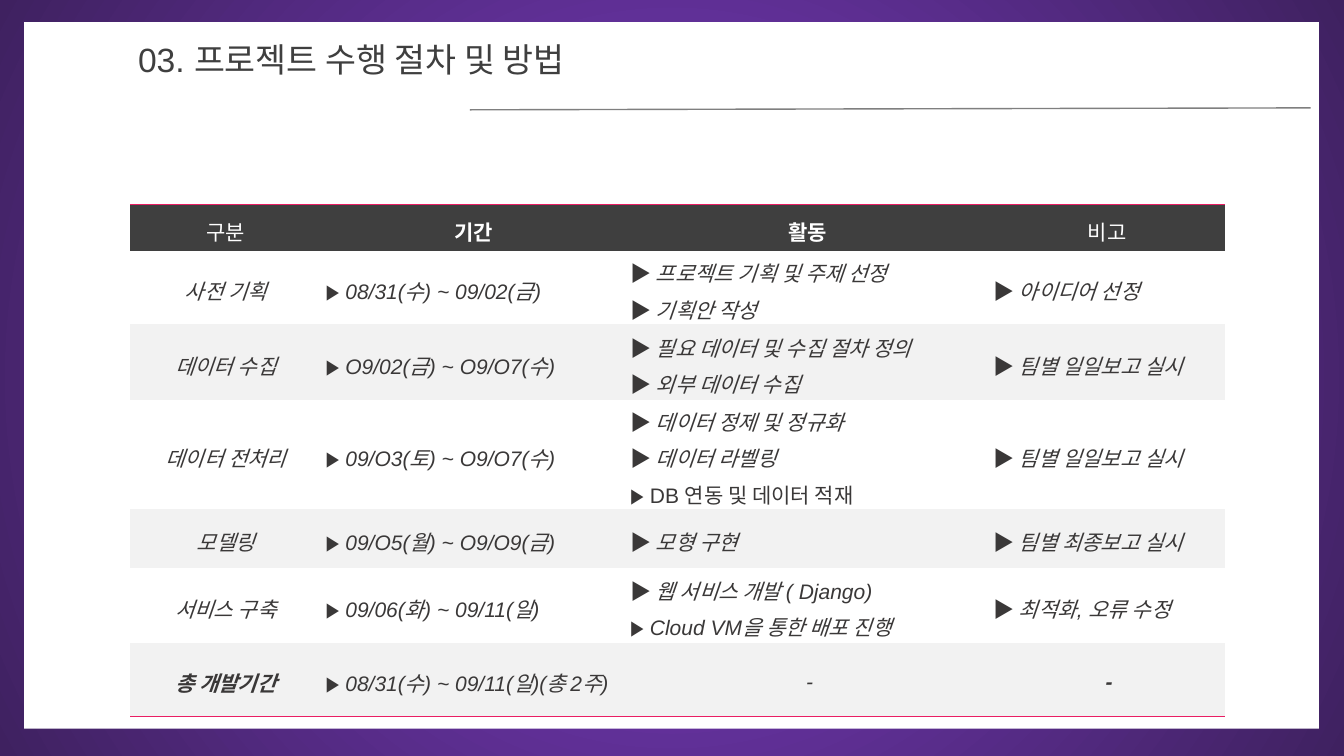
from dataclasses import dataclass

from lxml.etree import SubElement
from pptx import Presentation
from pptx.dml.color import RGBColor
from pptx.enum.shapes import MSO_CONNECTOR as Connector, MSO_SHAPE as Shape
from pptx.enum.text import MSO_ANCHOR as Anchor, PP_ALIGN as Align
from pptx.oxml import parse_xml
from pptx.oxml.ns import nsdecls, qn
from pptx.util import Inches, Pt


@dataclass(frozen=True)
class Theme:
    glow: str = "7E3DC8"
    edge: str = "3F2160"
    paper: str = "FFFFFF"
    band: str = "F2F2F2"
    dark: str = "3F3F3F"
    ink: str = "3A3838"
    accent: str = "E91D63"
    rule: str = "7F7F7F"
    font: str = "Arial"
    label_font: str = "Calibri"
    title_size: float = 24
    cell_size: float = 15
    rule_width: float = 1
    border_width: float = 0.75
    line_spacing: float = 1.2


@dataclass(frozen=True)
class Span:
    text: str
    font: str = Theme.font
    bold: bool = False
    italic: bool = True


@dataclass(frozen=True)
class Stage:
    label: Span
    period: str
    activities: tuple
    remark: tuple
    height: float


THEME = Theme()
WIDTH, HEIGHT = 13.33, 7.5
NO_STYLE = "{2D5ABB26-0587-4C30-8999-92F81FD0307C}"


def across(share: float) -> int:
    """Percent of the slide's width."""
    return Inches(WIDTH * share / 100)


def down(share: float) -> int:
    """Percent of the slide's height."""
    return Inches(HEIGHT * share / 100)


def frame(left: float, top: float, width: float, height: float) -> tuple:
    return across(left), down(top), across(width), down(height)


def color(code: str) -> RGBColor:
    return RGBColor.from_string(code)


def label(text: str) -> Span:
    return Span(text, THEME.label_font)


# Table content: column shares of the width, row shares of the height
COLUMNS = (14.25, 22.66, 27.01, 17.55)
HEADER_HEIGHT = 5.6
HEADINGS = (Span("구분", italic=False), Span("기간", bold=True, italic=False),
            Span("활동", bold=True, italic=False), Span("비고", italic=False))
MARKER = Span("▶ ", bold=True, italic=False)
STAGES = (
    Stage(Span("사전 기획"), "08/31(수) ~ 09/02(금)",
          (Span("프로젝트 기획 및 주제 선정"), Span("기획안 작성")),
          (Span("아이디어 선정"),), 8.67),
    Stage(label("데이터 수집"), "O9/02(금) ~ O9/O7(수)",
          (label("필요 데이터 및 수집 절차 정의"), label("외부 데이터 수집")),
          (Span("팀별 일일보고 실시"),), 10),
    Stage(label("데이터 전처리"), "09/O3(토) ~ O9/O7(수)",
          (label("데이터 정제 및 정규화"), Span("데이터 라벨링"),
           Span("DB 연동 및 데이터 적재", italic=False)),
          (Span("팀별 일일보고 실시"),), 13.47),
    Stage(label("모델링"), "09/O5(월) ~ O9/O9(금)", (Span("모형 구현"),),
          (label("팀별 "), Span("최종"), label("보고 실시")), 7.73),
    Stage(label("서비스 구축"), "09/06(화) ~ 09/11(일)",
          (Span("웹 서비스 개발 ( Django)"), Span("Cloud VM을 통한 배포 진행")),
          (Span("최적화, 오류 수정"),), 10),
    Stage(Span("총 개발기간", bold=True), "08/31(수) ~ 09/11(일)(총 2주)",
          (), (), 7.73),
)


def add_span(para, text: str, *, size: float, ink: str, font: str = THEME.font,
             bold: bool = False, italic: bool = False) -> None:
    run = para.add_run()
    run.text = text
    run.font.size, run.font.name = Pt(size), font
    run.font.bold, run.font.italic = bold, italic
    run.font.color.rgb = color(ink)


def fill_cell(cell, lines: list, *, fill: str, ink: str = THEME.ink,
              centered: bool = False, padded: bool = False) -> None:
    cell.fill.solid()
    cell.fill.fore_color.rgb = color(fill)
    cell.vertical_anchor = Anchor.MIDDLE
    cell.margin_left = Inches(0.09 if padded else 0.04)
    cell.margin_right = Inches(0.09 if padded else 0)
    cell.margin_top = cell.margin_bottom = Inches(0.05 if padded else 0)
    for index, spans in enumerate(lines):
        text = cell.text_frame
        para = text.add_paragraph() if index else text.paragraphs[0]
        para.alignment = Align.CENTER if centered else Align.LEFT
        para.line_spacing = THEME.line_spacing
        for span in spans:
            add_span(para, span.text, size=THEME.cell_size, ink=ink, font=span.font,
                     bold=span.bold, italic=span.italic)


def add_border(cell, side: str) -> None:
    cell.fill  # the fill follows the border in the cell's properties
    cell._tc.get_or_add_tcPr().insert(0, parse_xml(
        f'<a:{side} {nsdecls("a")} w="{Pt(THEME.border_width)}"><a:solidFill>'
        f'<a:srgbClr val="{THEME.accent}"/></a:solidFill></a:{side}>'))


def draw_background(page) -> None:
    fill = page.background.fill
    fill.gradient()
    for stop, code in zip(fill.gradient_stops, (THEME.glow, THEME.edge)):
        stop.color.rgb = color(code)
    gradient = page.element.find(".//" + qn("a:gradFill"))
    linear = gradient.find(qn("a:lin"))
    gradient.replace(linear, parse_xml(
        f'<a:path {nsdecls("a")} path="circle">'
        '<a:fillToRect l="50000" t="50000" r="50000" b="50000"/></a:path>'))

    paper = page.shapes.add_shape(Shape.RECTANGLE, *frame(1.8, 2.93, 96.33, 93.47))
    paper.shadow.inherit = False
    paper.fill.solid()
    paper.fill.fore_color.rgb = color(THEME.paper)
    paper.line.fill.background()


def draw_schedule(page) -> None:
    heights = (HEADER_HEIGHT, *(stage.height for stage in STAGES))
    table = page.shapes.add_table(
        len(heights), len(COLUMNS),
        *frame(9.68, 27.07, sum(COLUMNS), sum(heights))).table
    table.first_row = table.horz_banding = False
    table._tbl.tblPr.find(qn("a:tableStyleId")).text = NO_STYLE
    for column, share in zip(table.columns, COLUMNS):
        column.width = across(share)
    for row, share in zip(table.rows, heights):
        row.height = down(share)

    for cell, heading in zip(table.rows[0].cells, HEADINGS):
        fill_cell(cell, [[heading]], fill=THEME.dark, ink=THEME.paper,
                  centered=True, padded=True)
        add_border(cell, "lnT")

    for index, stage in enumerate(STAGES):
        name, period, activity, remark = table.rows[index + 1].cells
        fill = THEME.band if index % 2 else THEME.paper
        fill_cell(name, [[stage.label]], fill=fill, centered=True, padded=True)
        fill_cell(period, [[MARKER, Span(stage.period)]], fill=fill)
        if stage.activities:
            fill_cell(activity, [[MARKER, span] for span in stage.activities], fill=fill)
            fill_cell(remark, [[MARKER, *stage.remark]], fill=fill)
        else:
            fill_cell(activity, [[Span("-")]], fill=fill, centered=True)
            fill_cell(remark, [[Span("-", bold=True)]], fill=fill, centered=True)

    for cell in table.rows[len(STAGES)].cells:
        add_border(cell, "lnB")


def draw_title(page) -> None:
    box = page.shapes.add_textbox(*frame(9.53, 4.53, 38.71, 6.67))
    box.text_frame.word_wrap = True
    add_span(box.text_frame.paragraphs[0], "03. 프로젝트 수행 절차 및 방법",
             size=THEME.title_size, ink=THEME.dark)

    rule = page.shapes.add_connector(Connector.STRAIGHT, across(34.96), down(14.53),
                                     across(97.52), down(14.27))
    rule.line.color.rgb = color(THEME.rule)
    rule.line.width = Pt(THEME.rule_width)
    SubElement(rule._element.spPr, qn("a:effectLst"))


def main() -> None:
    deck = Presentation()
    deck.slide_width, deck.slide_height = Inches(WIDTH), Inches(HEIGHT)
    page = deck.slides.add_slide(deck.slide_layouts[6])
    draw_background(page)
    draw_schedule(page)
    draw_title(page)
    deck.save("out.pptx")


if __name__ == "__main__":
    main()
